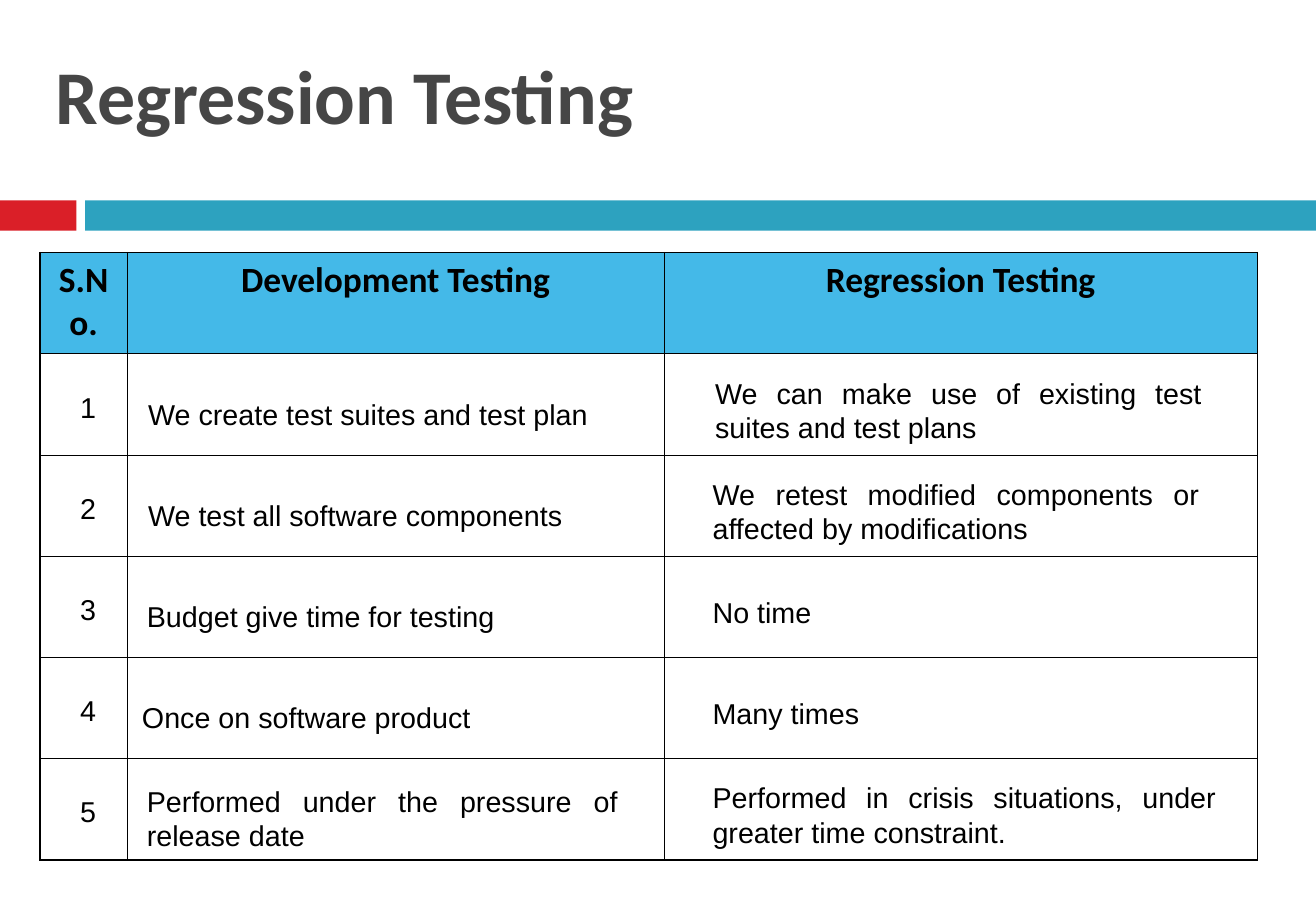
from dataclasses import dataclass
from typing import Any

from lxml.etree import SubElement
from pptx import Presentation
from pptx.dml.color import RGBColor
from pptx.enum.shapes import MSO_SHAPE as Shape
from pptx.enum.text import PP_ALIGN as Align
from pptx.oxml.ns import qn
from pptx.util import Inches, Pt

COLORS = {"red": "DA1F28", "teal": "2DA2BF", "header": "44B9E8",
          "title": "464646", "text": "000000"}
TABLE_LEFT, TABLE_TOP, ROW_HEIGHT = 3.04, 27.73, 11.11
COLUMN_WIDTHS = [6.64, 40.77, 45.11]
HEADERS = ["S.No.", "Development Testing", "Regression Testing"]
LINE_HEIGHT, NUMBER_DROP = 3.78, 3.9
DEVELOPMENT_DROPS = {1: 4.7, 2: 2.72}
REGRESSION_DROPS = {1: 4.25, 2: 2.38}
DEVELOPMENT = [
    ("We create test suites and test plan", 11.25, 36.99, 1, Align.LEFT),
    ("We test all software components", 11.25, 36.99, 1, Align.LEFT),
    ("Budget give time for testing", 11.16, 29.6, 1, Align.JUSTIFY),
    ("Once on software product", 10.79, 29.34, 1, Align.LEFT),
    ("Performed under the pressure of release date", 11.16, 35.8, 2, Align.JUSTIFY),
]
REGRESSION = [
    ("We can make use of existing test suites and test plans", 54.34, 36.99, 2, Align.JUSTIFY),
    ("We retest modified components or affected by modifications", 54.15, 36.99, 2, Align.JUSTIFY),
    ("No time", 54.15, 29.6, 1, Align.JUSTIFY),
    ("Many times", 54.15, 29.34, 1, Align.LEFT),
    ("Performed in crisis situations, under greater time constraint.", 54.15, 38.28, 2, Align.JUSTIFY),
]


@dataclass
class SlideBuilder:
    """Draws styled elements on a slide, placed on a grid of 100 columns by 100 rows."""

    presentation: Any
    slide: Any
    heading_font: str = "Calibri"
    body_font: str = "Arial"
    outer_border: float = 1.08
    inner_border: float = 0.45

    def columns(self, count):
        return round(self.presentation.slide_width * count / 100)

    def rows(self, count):
        return round(self.presentation.slide_height * count / 100)

    def place(self, left, top, width, height):
        return self.columns(left), self.rows(top), self.columns(width), self.rows(height)

    def style(self, paragraph, size, font_name, color="text", bold=False, align=Align.LEFT):
        paragraph.alignment = align
        font = paragraph.font
        font.name, font.size, font.bold = font_name, Pt(size), bold
        font.color.rgb = RGBColor.from_string(COLORS[color])

    def bar(self, left, top, width, height, color):
        shape = self.slide.shapes.add_shape(Shape.RECTANGLE, *self.place(left, top, width, height))
        shape.shadow.inherit = False
        shape.fill.solid()
        shape.fill.fore_color.rgb = RGBColor.from_string(COLORS[color])
        shape.line.fill.background()

    def text_box(self, text, left, top, width, height):
        frame = self.slide.shapes.add_textbox(*self.place(left, top, width, height)).text_frame
        frame.word_wrap = True
        frame.text = text
        return frame

    def title(self, text, left, top, width, height):
        frame = self.text_box(text, left, top, width, height)
        self.style(frame.paragraphs[0], 45, self.heading_font, "title", True)

    def body(self, text, left, top, width, lines, align):
        frame = self.text_box(text, left, top, width, lines * LINE_HEIGHT)
        frame.margin_left = frame.margin_top = frame.margin_right = frame.margin_bottom = 0
        self.style(frame.paragraphs[0], 17, self.body_font, align=align)

    def borders(self, cell, outer_sides):
        properties = cell._tc.get_or_add_tcPr()
        for index, side in enumerate("LRTB"):
            width = self.outer_border if side in outer_sides else self.inner_border
            line = SubElement(properties, qn("a:ln" + side), w=str(int(Pt(width))))
            fill = SubElement(line, qn("a:solidFill"))
            SubElement(fill, qn("a:srgbClr"), val=COLORS["text"])
            properties.insert(index, line)

    def table(self, left, top, widths, row_height, row_count, headers):
        area = self.place(left, top, sum(widths), row_height * row_count)
        table = self.slide.shapes.add_table(row_count, len(widths), *area).table
        table.first_row = table.horz_banding = False
        for column, width in zip(table.columns, widths):
            column.width = self.columns(width)
        for row_index, row in enumerate(table.rows):
            row.height = self.rows(row_height)
            for column_index, cell in enumerate(row.cells):
                edges = {"L": column_index == 0, "R": column_index == len(widths) - 1,
                         "T": row_index == 0, "B": row_index == row_count - 1}
                cell.fill.background()
                if row_index == 0:
                    cell.fill.solid()
                    cell.fill.fore_color.rgb = RGBColor.from_string(COLORS["header"])
                    cell.text = headers[column_index]
                    self.style(cell.text_frame.paragraphs[0], 21, self.heading_font,
                               bold=True, align=Align.CENTER)
                self.borders(cell, [side for side, is_outer in edges.items() if is_outer])


def main():
    presentation = Presentation()
    presentation.slide_width, presentation.slide_height = Inches(10.84), Inches(7.5)
    slide = presentation.slides.add_slide(presentation.slide_layouts[6])
    builder = SlideBuilder(presentation, slide)

    builder.bar(0, 22, 5.82, 3.33, "red")
    builder.bar(6.46, 22, 93.54, 3.33, "teal")
    builder.table(TABLE_LEFT, TABLE_TOP, COLUMN_WIDTHS, ROW_HEIGHT, len(DEVELOPMENT) + 1, HEADERS)
    for number in range(1, len(DEVELOPMENT) + 1):
        row_top = TABLE_TOP + number * ROW_HEIGHT
        builder.body(str(number), 4.52, row_top + NUMBER_DROP, 4.34, 1, Align.CENTER)
        for entries, drops in ((DEVELOPMENT, DEVELOPMENT_DROPS), (REGRESSION, REGRESSION_DROPS)):
            text, left, width, lines, align = entries[number - 1]
            builder.body(text, left, row_top + drops[lines], width, lines, align)
    builder.title("Regression Testing", 3.32, 4.67, 93.27, 11.33)
    presentation.save("out.pptx")


if __name__ == "__main__":
    main()
